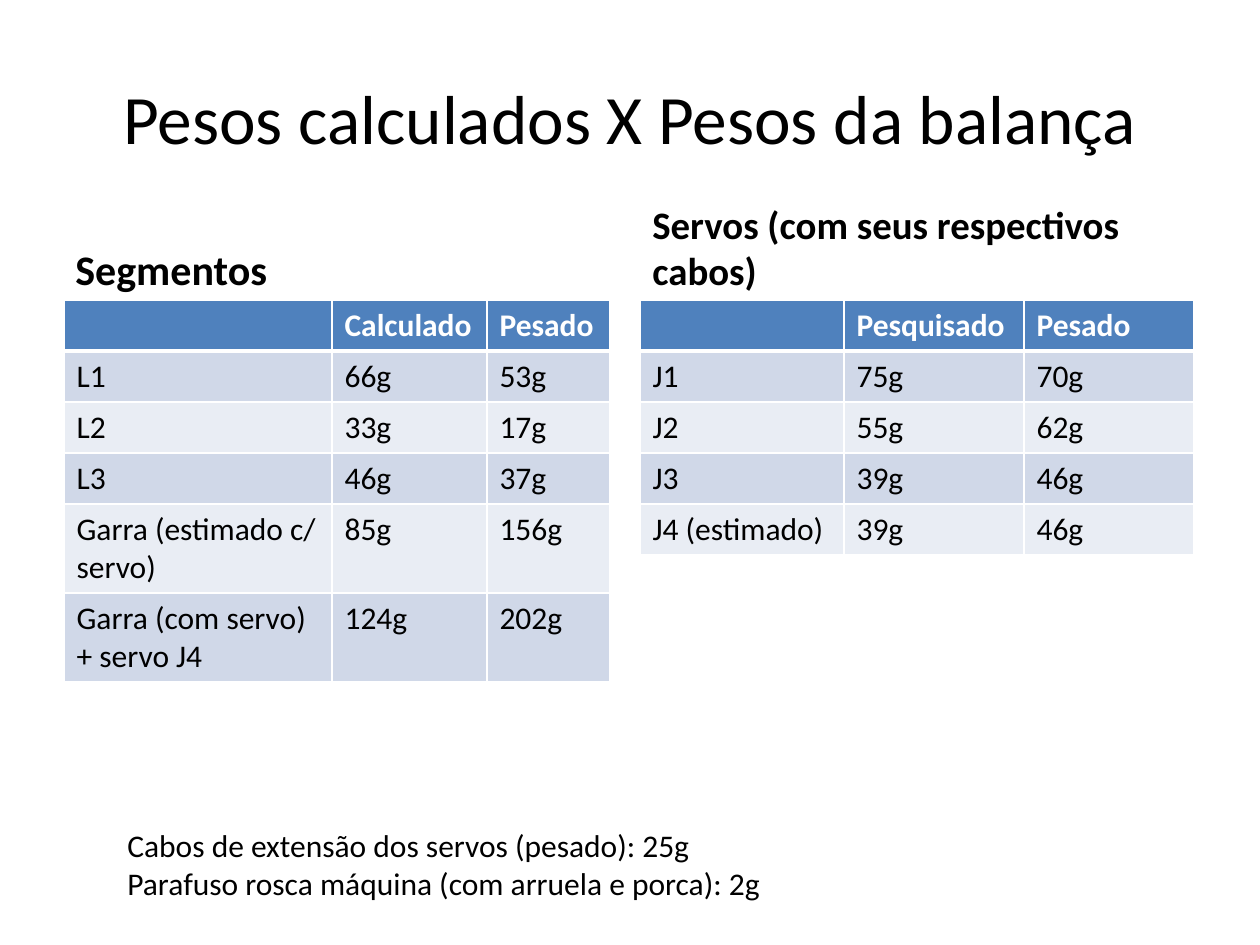
import lxml.etree
import pptx
import pptx.dml.color
import pptx.enum.text
import pptx.oxml.ns
import pptx.util

PX = 914400 / 126
BLACK = pptx.dml.color.RGBColor(0x00, 0x00, 0x00)
WHITE = pptx.dml.color.RGBColor(0xFF, 0xFF, 0xFF)
HEADER_BLUE = pptx.dml.color.RGBColor(0x4F, 0x81, 0xBD)
BAND_DARK = pptx.dml.color.RGBColor(0xD0, 0xD8, 0xE8)
BAND_LIGHT = pptx.dml.color.RGBColor(0xE9, 0xED, 0xF4)
FONT = "Calibri"
ROW_HEIGHT = 51
TALL_ROW_HEIGHT = 89
HEADING_HEIGHT = 88

SEGMENTS = [
    ["", "Calculado", "Pesado"],
    ["L1", "66g", "53g"],
    ["L2", "33g", "17g"],
    ["L3", "46g", "37g"],
    ["Garra (estimado c/ servo)", "85g", "156g"],
    ["Garra (com servo) + servo J4", "124g", "202g"],
]
SERVOS = [
    ["", "Pesquisado", "Pesado"],
    ["J1", "75g", "70g"],
    ["J2", "55g", "62g"],
    ["J3", "39g", "46g"],
    ["J4 (estimado)", "39g", "46g"],
]
NOTES = (
    "Cabos de extensão dos servos (pesado): 25g\n"
    "Parafuso rosca máquina (com arruela e porca): 2g"
)


def emu(px):
    return pptx.util.Emu(round(px * PX))


def style_text(frame, size, color=BLACK, bold=False):
    for para in frame.paragraphs:
        para.font.size = pptx.util.Pt(size)
        for span in para.runs:
            span.font.name = FONT
            span.font.size = pptx.util.Pt(size)
            span.font.bold = bold
            span.font.color.rgb = color


def add_text(page, box, text, size, anchor, bold=False, wrap=True):
    frame = page.shapes.add_textbox(*map(emu, box)).text_frame
    frame.word_wrap = wrap
    frame.vertical_anchor = anchor
    frame.text = text
    style_text(frame, size, bold=bold)
    return frame


def add_title(page, box):
    frame = add_text(page, box, "Pesos calculados X Pesos da balança", 39.6,
                     pptx.enum.text.MSO_ANCHOR.MIDDLE)
    frame.paragraphs[0].alignment = pptx.enum.text.PP_ALIGN.CENTER


def set_borders(cell, top, bottom):
    properties = cell._tc.get_or_add_tcPr()
    for side, points in (("L", 1), ("R", 1), ("T", top), ("B", bottom)):
        line = lxml.etree.SubElement(properties, pptx.oxml.ns.qn(f"a:ln{side}"))
        line.set("w", str(pptx.util.Pt(points)))
        fill = lxml.etree.SubElement(line, pptx.oxml.ns.qn("a:solidFill"))
        color = lxml.etree.SubElement(fill, pptx.oxml.ns.qn("a:srgbClr"))
        color.set("val", str(WHITE))


def add_weight_table(page, left, top, widths, rows, tall_rows):
    heights = [TALL_ROW_HEIGHT if index in tall_rows else ROW_HEIGHT
               for index in range(len(rows))]
    table = page.shapes.add_table(
        len(rows), len(widths), emu(left), emu(top),
        emu(sum(widths)), emu(sum(heights))).table
    for column, width in zip(table.columns, widths):
        column.width = emu(width)
    for index, values in enumerate(rows):
        table.rows[index].height = emu(heights[index])
        header = index == 0
        band = BAND_DARK if index % 2 else BAND_LIGHT
        for column, value in enumerate(values):
            cell = table.cell(index, column)
            set_borders(cell, 3 if index == 1 else 1, 3 if header else 1)
            cell.fill.solid()
            cell.fill.fore_color.rgb = HEADER_BLUE if header else band
            cell.text_frame.text = value
            style_text(cell.text_frame, 18, WHITE if header else BLACK, header)


def add_weight_panel(page, box, heading, size, table_left, widths, rows,
                     tall_rows=()):
    left, top, width = box
    frame = add_text(page, (left, top, width, HEADING_HEIGHT), heading, size,
                     pptx.enum.text.MSO_ANCHOR.BOTTOM, bold=True)
    frame.paragraphs[0].space_before = pptx.util.Pt(round(size * 0.2, 1))
    add_weight_table(page, left + table_left, top + HEADING_HEIGHT, widths,
                     rows, tall_rows)


def add_notes(page, box):
    add_text(page, box, NOTES, 18, pptx.enum.text.MSO_ANCHOR.TOP, wrap=False)


def main():
    deck = pptx.Presentation()
    deck.slide_width = emu(1260)
    deck.slide_height = emu(945)
    page = deck.slides.add_slide(deck.slide_layouts[6])
    add_title(page, (63, 38, 1134, 157))
    add_weight_panel(page, (63, 212, 557), "Segmentos", 24, 1,
                     (268, 155, 123), SEGMENTS, (4, 5))
    add_weight_panel(page, (640, 212, 557), "Servos (com seus respectivos cabos)",
                     22.2, 0, (204, 180, 170), SERVOS)
    add_notes(page, (115, 820, 665, 89))
    deck.save("out.pptx")


if __name__ == "__main__":
    main()
